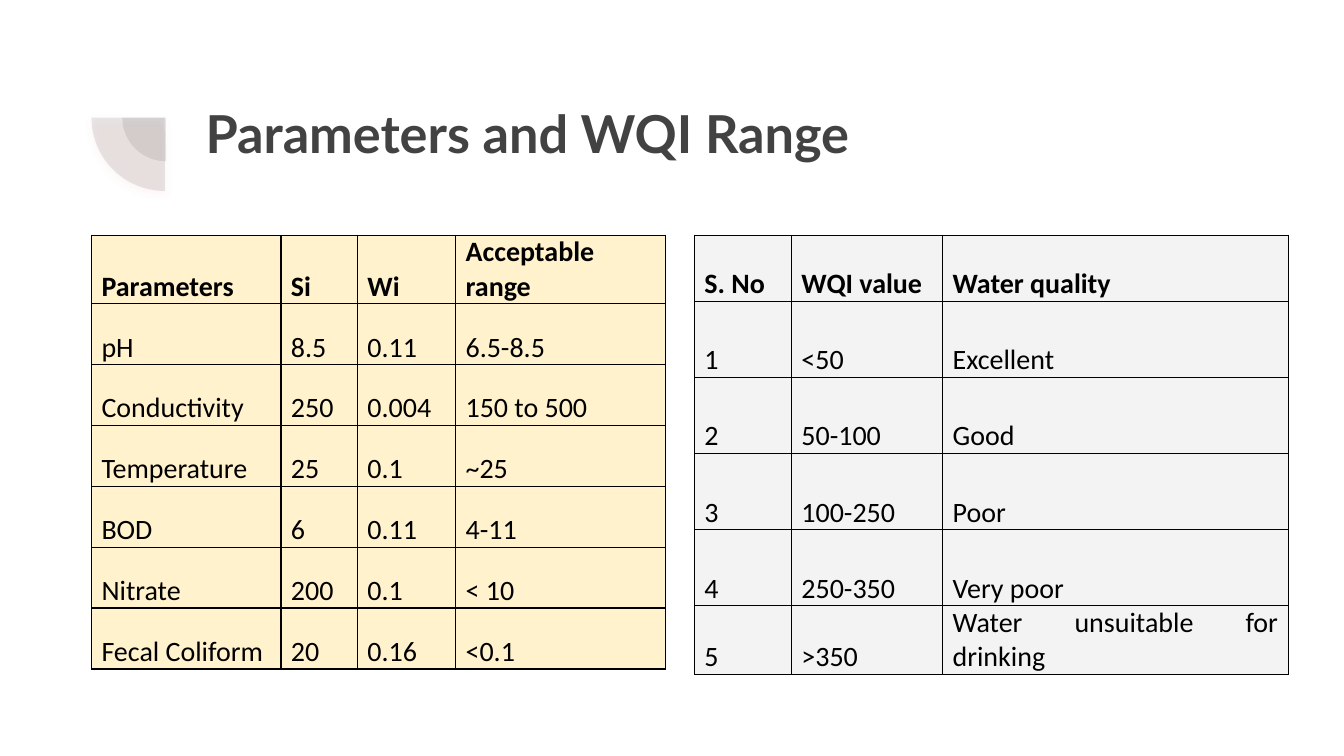
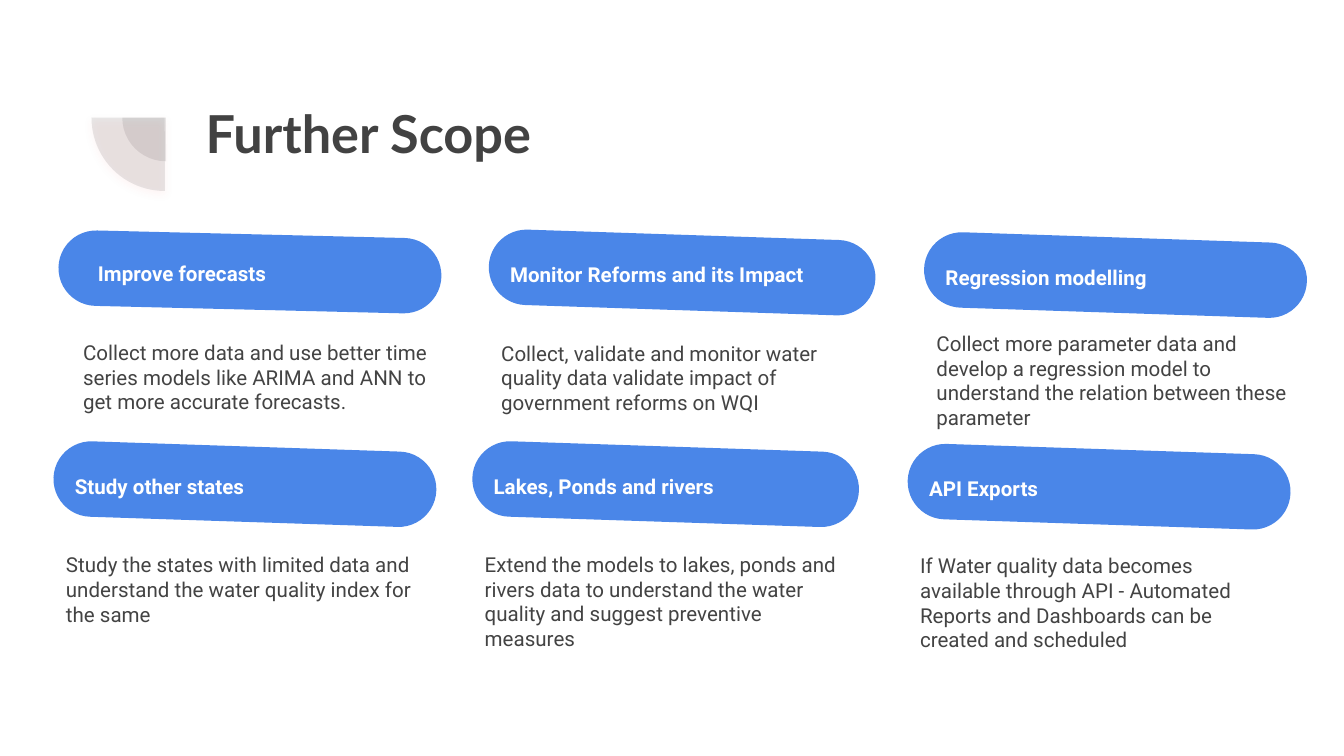
"""Build two slides on the water quality index: its ranges and the further scope."""
import lxml.etree
import pptx
import pptx.dml.color
import pptx.enum.shapes
import pptx.enum.text
import pptx.oxml.ns
import pptx.util

Pt = pptx.util.Pt
SHAPE = pptx.enum.shapes.MSO_SHAPE
ANCHOR = pptx.enum.text.MSO_ANCHOR
ALIGN = pptx.enum.text.PP_ALIGN
qn = pptx.oxml.ns.qn

DARK, BODY, BLUE, WHITE, BLACK = "424242", "434343", "4A86E8", "FFFFFF", "000000"
CREAM, GRAY, GLOW = "FFF2CC", "F3F3F3", "FD5B58"
TABLE_TOP = 126
PILL_HEIGHT = 40.4

PARAMETERS = [
    ("Parameters", "Si", "Wi", "Acceptable range"),
    ("pH", "8.5", "0.11", "6.5-8.5"),
    ("Conductivity", "250", "0.004", "150 to 500"),
    ("Temperature", "25", "0.1", "~25"),
    ("BOD", "6", "0.11", "4-11"),
    ("Nitrate", "200", "0.1", "< 10"),
    ("Fecal Coliform", "20", "0.16", "<0.1"),
]
QUALITY = [
    ("S. No", "WQI value", "Water quality"),
    ("1", "<50", "Excellent"),
    ("2", "50-100", "Good"),
    ("3", "100-250", "Poor"),
    ("4", "250-350", "Very poor"),
    ("5", ">350", "Water unsuitable for drinking"),
]


def color(value):
    """Turn a hex string into a colour."""
    return pptx.dml.color.RGBColor.from_string(value)


def write(frame, text, size=11, font="Roboto", ink=BODY, bold=False, align=ALIGN.LEFT,
          anchor=ANCHOR.MIDDLE, inset=(7.2, 7.2), line=None, after=0):
    """Put formatted text into a text frame."""
    frame.word_wrap = True
    frame.vertical_anchor = anchor
    frame.margin_left = frame.margin_right = Pt(inset[0])
    frame.margin_top = frame.margin_bottom = Pt(inset[1])
    para = frame.paragraphs[0]
    para.alignment = align
    para.space_after = Pt(after)
    if line:
        para.line_spacing = line
    span = para.add_run()
    span.text = text
    span.font.size = Pt(size)
    span.font.name = font
    span.font.bold = bold
    span.font.color.rgb = color(ink)


def place(item, left, top, width, height):
    """Move and size an item."""
    item.left, item.top, item.width, item.height = map(Pt, (left, top, width, height))


def add_text(page, text, left, top, width, height, **style):
    """Add a text box."""
    box = page.shapes.add_textbox(Pt(left), Pt(top), Pt(width), Pt(height))
    write(box.text_frame, text, **style)


def add_shape(page, kind, left, top, width, height, fill, rotation, adjustments):
    """Add a rotated, filled shape with neither outline nor shadow."""
    shape = page.shapes.add_shape(kind, Pt(left), Pt(top), Pt(width), Pt(height))
    shape.rotation = rotation
    for index, value in enumerate(adjustments):
        shape.adjustments[index] = value
    shape.fill.solid()
    shape.fill.fore_color.rgb = color(fill)
    shape.line.fill.background()
    shape.shadow.inherit = False
    return shape


def set_alpha(node, percent):
    """Make a colour node partly transparent."""
    lxml.etree.SubElement(node, qn("a:alpha"), val=str(percent * 1000))


def add_glow(shape):
    """Give a shape a soft coloured shadow below it."""
    effects = shape.element.spPr.find(qn("a:effectLst"))
    shadow = lxml.etree.SubElement(
        effects, qn("a:outerShdw"), blurRad=str(Pt(4.5)), dist=str(Pt(1.5)),
        dir="5400000", algn="bl", rotWithShape="0")
    set_alpha(lxml.etree.SubElement(shadow, qn("a:srgbClr"), val=GLOW), 49)


def add_quarter(page, left, top, size):
    """Add a translucent quarter disc."""
    quarter = add_shape(page, SHAPE.PIE, left, top, size, size, DARK, 270, (107.93, 162))
    set_alpha(quarter.element.spPr.find(".//" + qn("a:srgbClr")), 12)
    return quarter


def add_page(deck, title):
    """Add a slide with its title and corner ornament."""
    page = deck.slides.add_slide(deck.slide_layouts[5])
    add_quarter(page, 65.5, 39.6, 46.8)
    add_glow(add_quarter(page, 49, 23.8, 78.5))
    heading = page.shapes.title
    place(heading, 103, 46.8, 553.7, 78.5)
    write(heading.text_frame, title, size=28, font="Lato", ink=DARK, bold=True,
          anchor=ANCHOR.TOP)
    heading.text_frame.auto_size = pptx.enum.text.MSO_AUTO_SIZE.NONE
    return page


def add_borders(cell):
    """Draw thin black lines on all sides of a cell."""
    properties = cell._tc.get_or_add_tcPr()
    for side in ("a:lnL", "a:lnR", "a:lnT", "a:lnB"):
        line = lxml.etree.SubElement(properties, qn(side), w=str(Pt(0.75)))
        paint = lxml.etree.SubElement(line, qn("a:solidFill"))
        lxml.etree.SubElement(paint, qn("a:srgbClr"), val=BLACK)


def add_table(page, rows, left, widths, heights, fill):
    """Add a bordered table whose first row is bold."""
    table = page.shapes.add_table(len(rows), len(widths), Pt(left), Pt(TABLE_TOP),
                                  Pt(sum(widths)), Pt(sum(heights))).table
    for column, width in zip(table.columns, widths):
        column.width = Pt(width)
    for index, (row, height) in enumerate(zip(rows, heights)):
        table.rows[index].height = Pt(height)
        for cell, text in zip(table.rows[index].cells, row):
            write(cell.text_frame, text, size=15, font="Calibri", ink=BLACK,
                  bold=index == 0, align=ALIGN.JUSTIFY, inset=(0, 0))
            cell.margin_left = cell.margin_right = Pt(5.4)
            cell.margin_top = cell.margin_bottom = 0
            cell.vertical_anchor = ANCHOR.BOTTOM
            add_borders(cell)
            cell.fill.solid()
            cell.fill.fore_color.rgb = color(fill)


def add_card(page, heading, text, left, top, heading_width=123, width=206, height=57,
             indent=4.8, shift=0, tilt=1.9):
    """Add a tilted pill with a heading and a paragraph below it."""
    length = width - 0.8
    add_shape(page, SHAPE.ROUNDED_RECTANGLE, left + shift + (width - PILL_HEIGHT) / 2,
              top + (PILL_HEIGHT - length) / 2, PILL_HEIGHT, length, BLUE, 90 + tilt, (0.5,))
    add_text(page, heading, left + indent, top, heading_width, PILL_HEIGHT,
             ink=WHITE, bold=True, line=1.15)
    add_text(page, text, left, top + 48, width, height, after=16)


def main():
    """Build and save the deck."""
    deck = pptx.Presentation()
    deck.slide_width, deck.slide_height = Pt(720), Pt(405)

    page = add_page(deck, "Parameters and WQI Range")
    add_table(page, PARAMETERS, 49, (101.5, 41, 52.6, 112.4), [32.6] * 7, CREAM)
    add_table(page, QUALITY, 372, (52, 81, 185.2), [35.4] + [40.8] * 4 + [33], GRAY)

    page = add_page(deck, "Further Scope")
    add_card(page, "Regression modelling",
             "Collect more parameter data and develop a regression model to understand "
             "the relation between these parameter", 494.6, 127.2)
    add_card(page, "Monitor Reforms and its Impact",
             "Collect, validate and monitor water quality data validate impact of "
             "government reforms on WQI", 261.4, 125.8, heading_width=188, width=208)
    add_card(page, "API Exports",
             "If Water quality data becomes available through API - Automated Reports "
             "and Dashboards can be created and scheduled", 485.8, 240.6, height=68.4)
    add_card(page, "Study other states",
             "Study the states with limited data and understand the water quality index "
             "for the same", 28.2, 239.2)
    add_card(page, "Lakes, Ponds and rivers",
             "Extend the models to lakes, ponds and rivers data to understand the water "
             "quality and suggest preventive measures", 252.6, 239.2,
             heading_width=185, width=208, height=69.8)
    add_card(page, "Improve forecasts",
             "Collect more data and use better time series models like ARIMA and ANN to "
             "get more accurate forecasts.", 37.4, 125.5, indent=8, shift=-6.5, tilt=1.4)

    deck.save("out.pptx")


if __name__ == "__main__":
    main()
